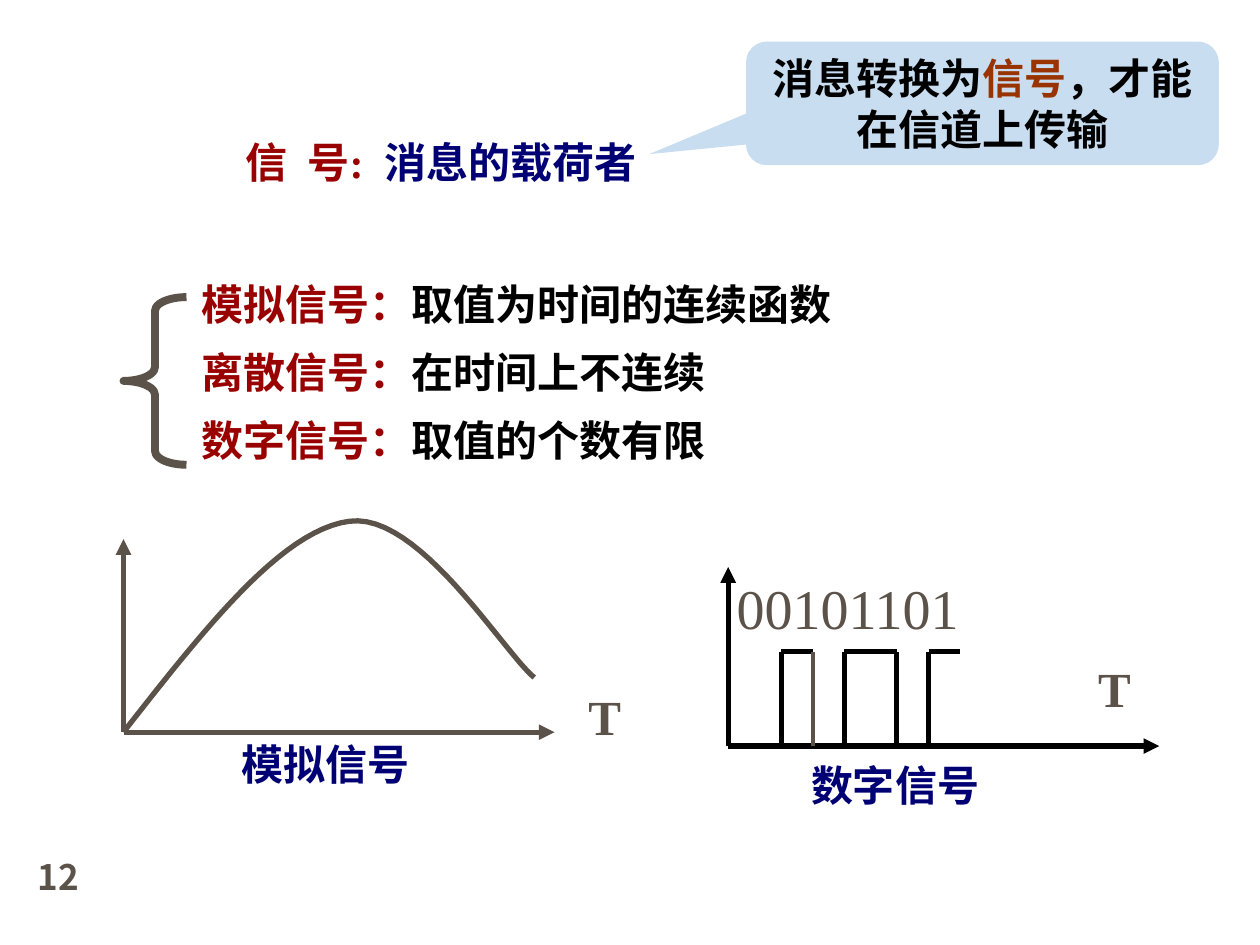
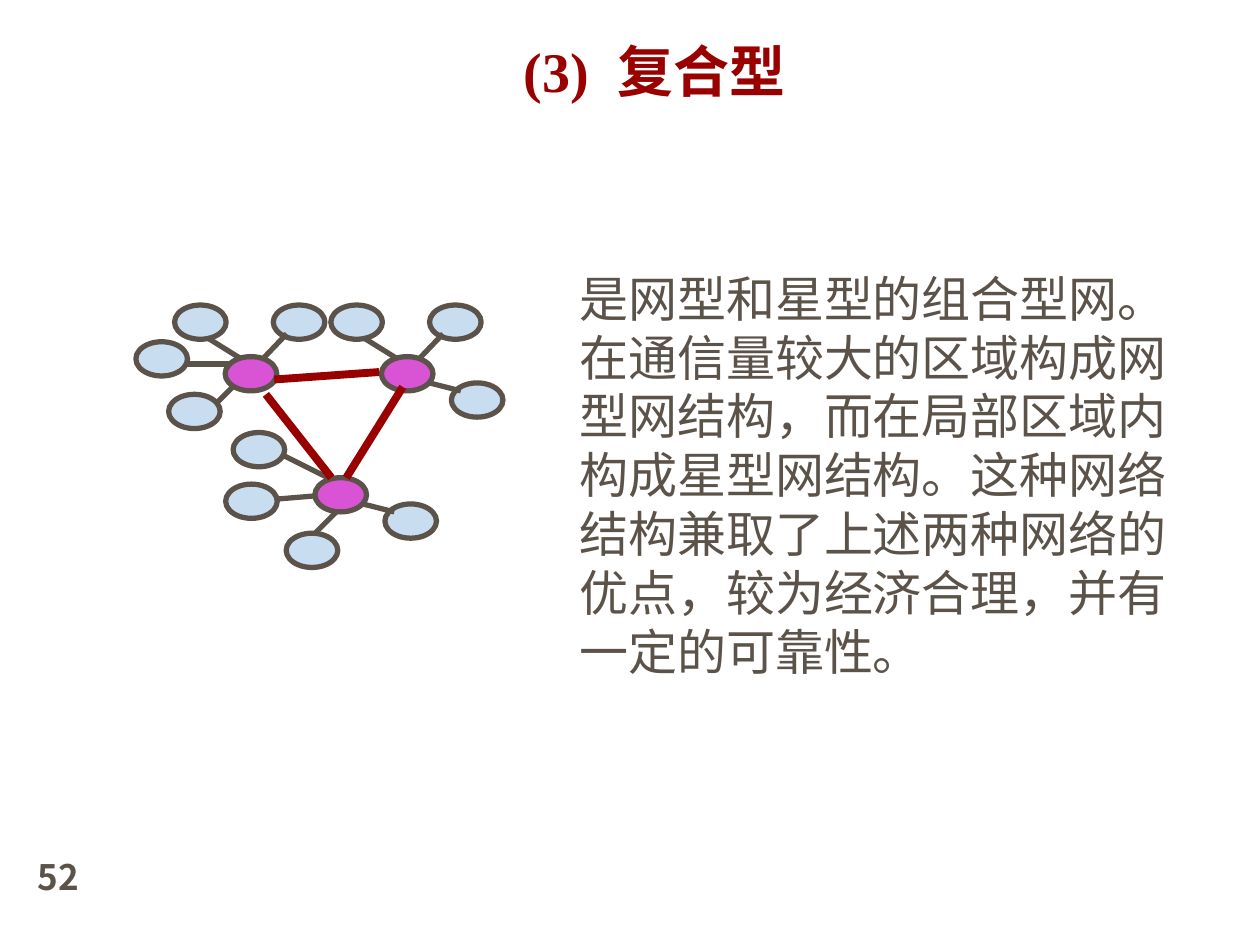
from lxml.etree import SubElement
from pptx import Presentation
from pptx.dml.color import RGBColor
from pptx.enum.shapes import MSO_CONNECTOR, MSO_SHAPE
from pptx.enum.text import MSO_ANCHOR, MSO_AUTO_SIZE, PP_ALIGN
from pptx.oxml.ns import qn
from pptx.util import Cm, Pt

HUES = {
    "red": "990000", "navy": "000074", "black": "000000", "rust": "993300",
    "grey": "5B5249", "sky": "C9DDF1", "pink": "D854D5", "white": "FFFFFF",
}
SERIF = "Times New Roman"
HAN = "Noto Sans CJK SC"
HAN_JP = "Noto Sans CJK JP"
TIGHT, LOOSE = 1.2, 1.62
NODE_W, NODE_H = 1.04, 0.69
GAP = (" ", "red")

PAIR = [
    ((0.97, -1.04), (1.24, -0.46, 0.58, 0.23)),
    ((-1.02, -1.04), (-0.36, -0.38, 0.38, 0.08)),
]
EAST = [((1.41, 0.53), (0.97, 0.53, 1.6, 0.69))]
WEST = [
    ((-1.8, -0.3), (-0.81, 0.15, 0.2, 0.15)),
    ((-1.14, 0.76), (-0.15, 0.91, 0.3, 0.46)),
]
SOUTH = [
    ((-0.58, 1.12), (0, 1.12, 0.46, 0.66)),
    ((-1.8, 0.13), (-0.76, 0.43, 0.08, 0.36)),
    ((-1.65, -0.91), (-0.66, -0.46, 0.36, 0.05)),
]
STARS = [
    ((4.95, 1.04), PAIR + EAST),
    ((1.8, 1.04), PAIR + WEST),
    ((3.61, 3.48), EAST + SOUTH),
]
LINKS = [
    (2.62, 1.8, 3.94, 3.48),
    (4.9, 1.35, 2.79, 1.5),
    (5.38, 1.65, 4.24, 3.48),
]


def hue(name):
    return RGBColor.from_string(HUES[name])


def place(shape, x, y, w, h):
    shape.left, shape.top, shape.width, shape.height = Cm(x), Cm(y), Cm(w), Cm(h)


def write(shape, lines, size, face=SERIF, bold=True, pitch=TIGHT, wrap=False,
          align=PP_ALIGN.LEFT, anchor=MSO_ANCHOR.TOP):
    frame = shape.text_frame
    frame.word_wrap = wrap
    frame.auto_size = MSO_AUTO_SIZE.NONE
    frame.vertical_anchor = anchor
    frame.margin_left = frame.margin_right = Cm(0.25)
    frame.margin_top = frame.margin_bottom = Cm(0.13)
    for i, line in enumerate(lines):
        para = frame.add_paragraph() if i else frame.paragraphs[0]
        para.alignment = align
        para.line_spacing = Pt(size * pitch)
        para.space_before = para.space_after = Pt(0)
        props = para._p.get_or_add_pPr()
        props.set("marL", "0")
        props.set("indent", "0")
        SubElement(props, qn("a:buNone"))
        for words, tint in line:
            run = para.add_run()
            run.text = words
            font = run.font
            font.size, font.bold, font.name = Pt(size), bold, face
            font.color.rgb = hue(tint)
            marks = run._r.get_or_add_rPr()
            SubElement(marks, qn("a:ea"), typeface=HAN if face == SERIF else face)
            if words == " ":
                marks.set("spc", str(size * 25))


def label(slide, x, y, w, h, words, size, tint, **style):
    box = slide.shapes.add_textbox(Cm(x), Cm(y), Cm(w), Cm(h))
    write(box, [[(words, tint)]], size, **style)


def stroke(slide, x, y, ends, tint="grey", width=3, arrow=False):
    x1, y1, x2, y2 = ends
    line = slide.shapes.add_connector(
        MSO_CONNECTOR.STRAIGHT, Cm(x + x1), Cm(y + y1), Cm(x + x2), Cm(y + y2))
    line.line.color.rgb = hue(tint)
    line.line.width = Pt(width)
    if arrow:
        SubElement(line.line._get_or_add_ln(), qn("a:tailEnd"), type="triangle")
    SubElement(line._element.spPr, qn("a:effectLst"))


def shape_at(slide, kind, x, y, w, h, fill=None, edge=None, width=3):
    shape = slide.shapes.add_shape(kind, Cm(x), Cm(y), Cm(w), Cm(h))
    finish(shape, fill, edge, width)
    return shape


def finish(shape, fill=None, edge=None, width=3):
    shape.shadow.inherit = False
    if fill:
        shape.fill.solid()
        shape.fill.fore_color.rgb = hue(fill)
    else:
        shape.fill.background()
    if edge:
        shape.line.color.rgb = hue(edge)
        shape.line.width = Pt(width)
    else:
        shape.line.fill.background()


def new_slide(deck, number):
    slide = deck.slides.add_slide(deck.slide_layouts[1])
    slide.background.fill.solid()
    slide.background.fill.fore_color.rgb = hue("white")
    label(slide, 0.51, 17.12, 1.4, 1.27, number, 20, "grey", face=HAN, wrap=True)
    return slide


def curve(slide, x, y, start, parts, steps=24):
    points = [start]
    for part in parts:
        knots = [points[-1], *part]
        for step in range(1, steps + 1):
            t = step / steps
            mix = ((1 - t) ** 3, 3 * t * (1 - t) ** 2, 3 * t * t * (1 - t), t ** 3)
            points.append(tuple(sum(m * k[axis] for m, k in zip(mix, knots))
                                for axis in (0, 1)))
    spots = [(Cm(x + a), Cm(y + b)) for a, b in points]
    pen = slide.shapes.build_freeform(*spots[0])
    pen.add_line_segments(spots[1:], close=False)
    finish(pen.convert_to_shape(), edge="grey")


def axes(slide, x, y, rise, tint, mark, name, spot):
    for end in ((0, -rise), (8.69, 0)):
        stroke(slide, x, y, (0, 0, *end), tint, arrow=True)
    label(slide, x + mark[0], y + mark[1], 1.17, 1.45, "T", 28, "grey")
    label(slide, x + spot[0], y + spot[1], 3.89, 1.27, name, 24, "navy")


def analog(slide, x, y):
    axes(slide, x, y, 3.89, "grey", (9.12, -1.04), "模拟信号", (2.13, 0))
    curve(slide, x, y, (0, 0), [
        ((1.6, -2.04), (3.18, -4.07), (4.55, -4.25)),
        ((5.94, -4.45), (7.65, -1.63), (8.28, -1.1)),
    ])


def digital(slide, x, y):
    high = -1.9
    axes(slide, x, y, 3.61, "black", (7.21, high), "数字信号", (1.42, 0.14))
    label(slide, x - 0.08, y - 3.61, 4.95, 1.63, "00101101", 32, "grey",
          bold=False)
    for rise, fall in ((1.07, 1.7), (2.34, 3.4), (4.04, 4.67)):
        stroke(slide, x, y, (rise, high, fall, high), "black")
        stroke(slide, x, y, (rise, high, rise, 0), "black")
    stroke(slide, x, y, (1.7, high, 1.7, 0), "grey", 2.25)
    stroke(slide, x, y, (3.4, high, 3.4, 0), "black")


def callout(slide, x, y, w, h):
    bubble = shape_at(slide, MSO_SHAPE.ROUNDED_RECTANGULAR_CALLOUT,
                      x, y, w, h, "sky")
    for i, value in enumerate((-0.705, 0.411, 0.167)):
        bubble.adjustments[i] = value
    write(bubble, [[("消息转换为", "black"), ("信号", "rust"),
                    ("，才能在信道上传输", "black")]], 24, wrap=True,
          align=PP_ALIGN.CENTER, anchor=MSO_ANCHOR.MIDDLE)


def kinds(slide, x, y, w, h):
    brace = shape_at(slide, MSO_SHAPE.LEFT_BRACE, x, y + 0.86, 1.27, 3.38,
                     edge="grey", width=4.5)
    brace.adjustments[0] = 0.22
    body = slide.placeholders[1]
    place(body, x + 1.32, y, w - 1.32, h)
    terms = [("模拟信号：", "取值为时间的连续函数"),
             ("离散信号：", "在时间上不连续"),
             ("数字信号：", "取值的个数有限")]
    write(body, [[(term, "red"), (sense, "black")] for term, sense in terms],
          24, pitch=LOOSE)


def signals(deck):
    slide = new_slide(deck, "12")
    title = slide.shapes.title
    place(title, 4.7, 2.26, 9.2, 1.63)
    write(title, [[("信", "red"), GAP, ("号:", "red"), GAP,
                   ("消息的载荷者", "navy")]], 24, pitch=LOOSE)
    analog(slide, 2.49, 14.76)
    digital(slide, 14.68, 15.04)
    callout(slide, 15.04, 0.84, 9.53, 2.49)
    kinds(slide, 2.49, 5.13, 14.53, 4.37)


def network(slide, x, y):
    for (left, top), spokes in STARS:
        hub_x, hub_y = x + left, y + top
        for (dx, dy), _ in spokes:
            shape_at(slide, MSO_SHAPE.OVAL, hub_x + dx, hub_y + dy,
                     NODE_W, NODE_H, "sky", "grey")
        for _, ends in spokes:
            stroke(slide, hub_x, hub_y, ends)
        shape_at(slide, MSO_SHAPE.OVAL, hub_x, hub_y, NODE_W, NODE_H,
                 "pink", "grey")
    for ends in LINKS:
        stroke(slide, x, y, ends, "red", 4.5)


def hybrid(deck):
    slide = new_slide(deck, "52")
    title = slide.shapes.title
    place(title, 10.31, 0.53, 6.6, 1.7)
    write(title, [[("(3)", "red"), GAP, ("复合型", "red")]], 32,
          anchor=MSO_ANCHOR.BOTTOM)
    network(slide, 2.74, 6.15)
    body = slide.placeholders[1]
    place(body, 11.43, 5.28, 12.7, 8.56)
    write(body, [[("是网型和星型的组合型网。在通信量较大的区域构成网型网结构，"
                   "而在局部区域内构成星型网结构。这种网络结构兼取了上述两种网络的"
                   "优点，较为经济合理，并有一定的可靠性。", "grey")]],
          28, face=HAN_JP, bold=False, wrap=True)


def main():
    deck = Presentation()
    deck.slide_width, deck.slide_height = Cm(25.4), Cm(19.05)
    signals(deck)
    hybrid(deck)
    deck.save("out.pptx")


if __name__ == "__main__":
    main()
